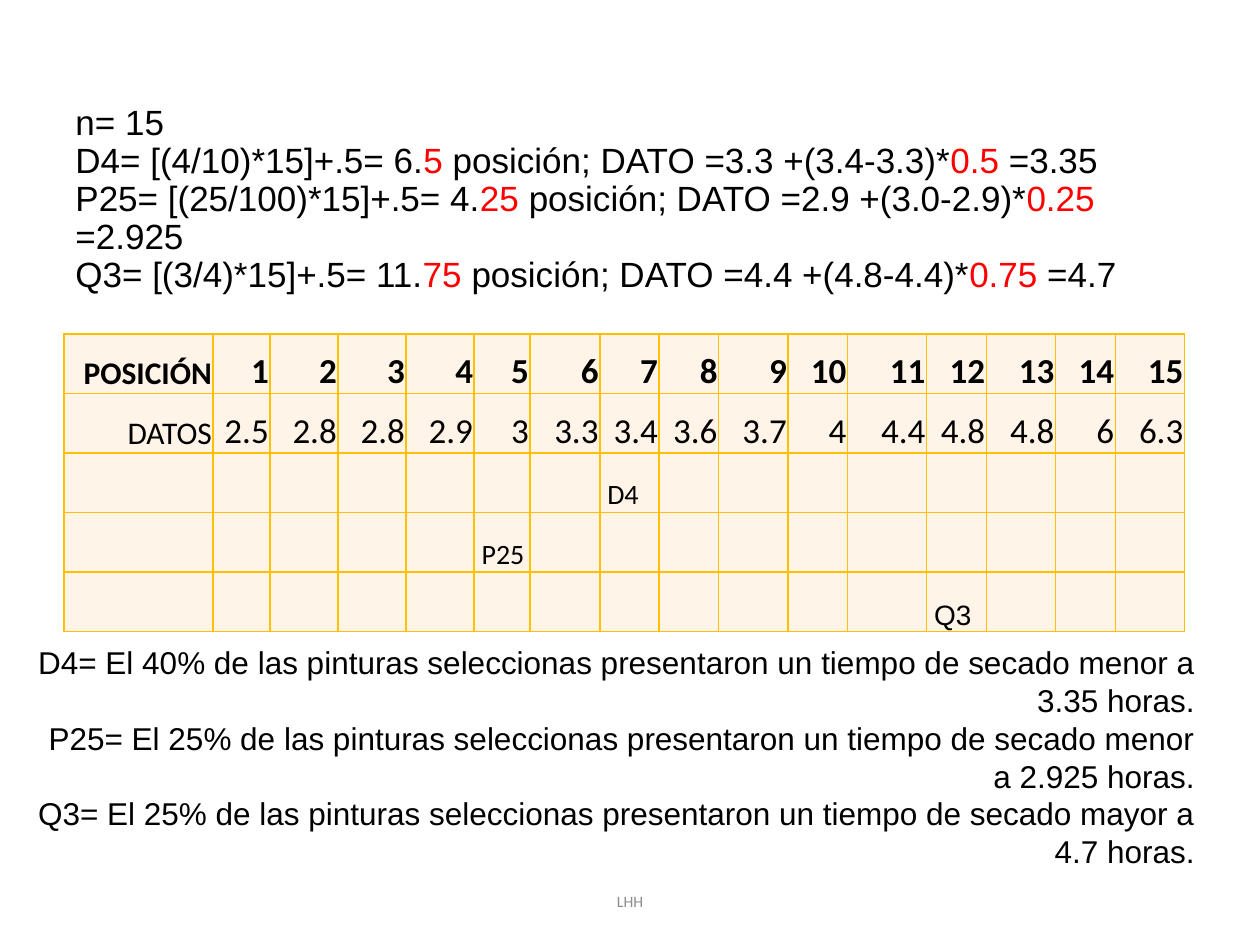
from pptx import Presentation
from pptx.dml.color import RGBColor
from pptx.enum.text import MSO_ANCHOR as ANCHOR, PP_ALIGN as ALIGN
from pptx.oxml import parse_xml
from pptx.oxml.ns import nsdecls
from pptx.util import Pt

BLACK, RED, GREY, GOLD, CREAM = "000000", "FF0000", "8C8C8C", "FFC000", "FFF4E7"

# Content: in each calculation, every second piece is red
CALCULATIONS = [
    ["n= 15"],
    ["D4= [(4/10)*15]+.5= 6.", "5 ", "posición; DATO =3.3 +(3.4-3.3)*", "0.5", " =3.35"],
    ["P25= [(25/100)*15]+.5= 4.", "25 ", "posición; DATO =2.9 +(3.0-2.9)*", "0.25", " =2.925"],
    ["Q3= [(3/4)*15]+.5= 11.", "75 ", "posición; DATO =4.4 +(4.8-4.4)*", "0.75", " =4.7"],
]
DATA = ["2.5", "2.8", "2.8", "2.9", "3", "3.3", "3.4", "3.6",
        "3.7", "4", "4.4", "4.8", "4.8", "6", "6.3"]
MARKS = {(2, 7): ("D4", "Calibri"), (3, 5): ("P25", "Calibri"), (4, 12): ("Q3", "Arial")}
CONCLUSIONS = [
    ["D4= El 40% de las pinturas seleccionas presentaron un tiempo de secado menor a 3.35 horas."],
    ["P25= El 25% de las pinturas seleccionas presentaron un tiempo de secado menor a 2.925 horas."],
    ["Q3= El 25% de las pinturas seleccionas presentaron un tiempo de secado mayor a 4.7 horas."],
]
COL_WIDTHS = [85.1, 32.5, 38.9, 38.9, 38.9, 32, 39.8, 33.9,
              34.1, 39.6, 34.1, 45.2, 34.1, 39.6, 34.1, 39.6]
ROW_HEIGHT, ROW_COUNT = 34, 5
LINE_PITCH = Pt(21.6)


def rgb(color):
    return RGBColor.from_string(color)


def add_run(p, text, size, font="Arial", color=BLACK, bold=False):
    r = p.add_run()
    r.text = text
    for name, value in {"size": Pt(size), "name": font, "bold": bold}.items():
        setattr(r.font, name, value)
    r.font.color.rgb = rgb(color)


def add_text(slide, box, lines, size, align, font="Arial", color=BLACK, spacing=None, **margins):
    tf = slide.shapes.add_textbox(*map(Pt, box)).text_frame
    settings = {"word_wrap": True, "vertical_anchor": ANCHOR.MIDDLE}
    settings.update({name: Pt(value) for name, value in margins.items()})
    for name, value in settings.items():
        setattr(tf, name, value)
    for i, pieces in enumerate(lines):
        p = tf.add_paragraph() if i else tf.paragraphs[0]
        p.alignment = align
        p.line_spacing = spacing
        for j, text in enumerate(pieces):
            add_run(p, text, size, font, RED if j % 2 else color)


def style_cell(cell, left=0.7):
    tcPr = cell._tc.get_or_add_tcPr()
    for side in "LRTB":
        tcPr.append(parse_xml(
            f'<a:ln{side} {nsdecls("a")} w="{Pt(1)}"><a:solidFill>'
            f'<a:srgbClr val="{GOLD}"/></a:solidFill></a:ln{side}>'))
    cell.fill.solid()
    cell.fill.fore_color.rgb = rgb(CREAM)
    for name, value in {"margin_left": Pt(left), "margin_right": Pt(0.7),
                        "margin_top": Pt(0.7), "margin_bottom": Pt(0),
                        "vertical_anchor": ANCHOR.BOTTOM}.items():
        setattr(cell, name, value)


def add_data_table(slide):
    rows = [["POSICIÓN", *map(str, range(1, len(DATA) + 1))], ["DATOS", *DATA]]
    table = slide.shapes.add_table(
        ROW_COUNT, len(COL_WIDTHS), Pt(36.7), Pt(190.8),
        Pt(sum(COL_WIDTHS)), Pt(ROW_HEIGHT * ROW_COUNT)).table
    table.first_row = table.horz_banding = False
    for col, width in zip(table.columns, COL_WIDTHS):
        col.width = Pt(width)
    for i, row in enumerate(table.rows):
        row.height = Pt(ROW_HEIGHT)
        for j, cell in enumerate(row.cells):
            p = cell.text_frame.paragraphs[0]
            if i < len(rows):
                style_cell(cell)
                p.alignment = ALIGN.RIGHT
                add_run(p, rows[i][j], 20 if j else 18, "Calibri", bold=i == 0)
            else:
                style_cell(cell, left=4.3)
                if (i, j) in MARKS:
                    text, font = MARKS[i, j]
                    add_run(p, text, 16, font)


def main():
    prs = Presentation()
    prs.slide_width, prs.slide_height = Pt(720), Pt(540)
    s = prs.slides.add_slide(prs.slide_layouts[6])

    # Calculations, data table, footer, conclusions
    add_text(s, (36, 43.2, 658.8, 141.84), CALCULATIONS, 20, ALIGN.LEFT, spacing=LINE_PITCH)
    add_data_table(s)
    add_text(s, (238.3, 500.4, 243.4, 28.8), [["LHH"]], 9, ALIGN.CENTER, "Calibri", GREY)
    add_text(s, (8.64, 372.24, 681.12, 141.84), CONCLUSIONS, 18, ALIGN.RIGHT,
             spacing=LINE_PITCH, margin_top=0, margin_bottom=21.6)
    prs.save("out.pptx")


if __name__ == "__main__":
    main()
